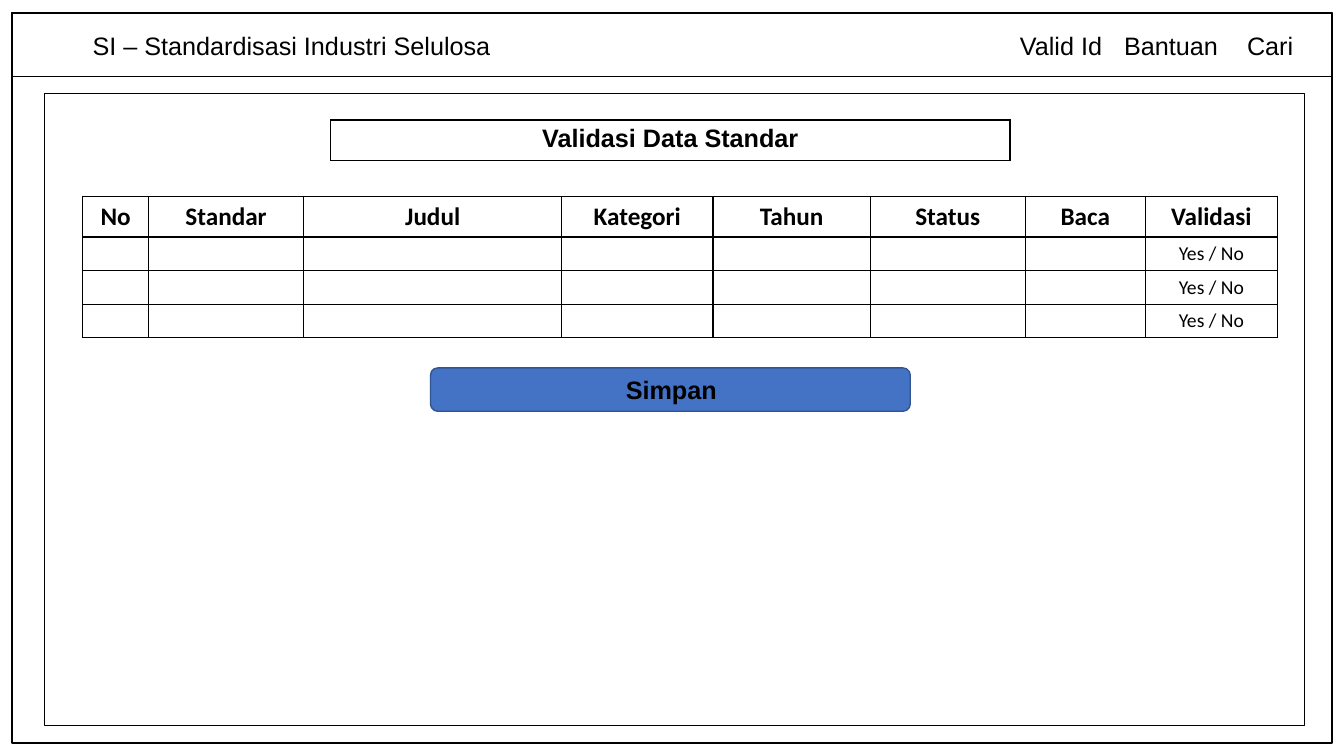
from pptx import Presentation
from pptx.dml.color import RGBColor
from pptx.enum.shapes import MSO_SHAPE
from pptx.enum.text import MSO_AUTO_SIZE, PP_ALIGN
from pptx.oxml.ns import qn
from pptx.util import Inches, Pt
from lxml.etree import SubElement

COLORS = {"ink": "000000", "paper": "FFFFFF", "button": "4472C4", "edge": "325491"}


class Page:
    def __init__(self, prs, font="Arial", size=18):
        self.slide = prs.slides.add_slide(prs.slide_layouts[6])
        self.width, self.height = prs.slide_width, prs.slide_height
        self.font, self.size = font, size

    def x(self, share):
        return round(self.width * share / 100)

    def y(self, share):
        return round(self.height * share / 100)

    def area(self, left, top, width, height):
        return self.x(left), self.y(top), self.x(width), self.y(height)

    def color(self, name):
        return RGBColor.from_string(COLORS[name])

    def box(self, area, kind=MSO_SHAPE.RECTANGLE, fill=None, line="ink"):
        sp = self.slide.shapes.add_shape(kind, *self.area(*area))
        sp.shadow.inherit = False
        if fill:
            sp.fill.solid()
            sp.fill.fore_color.rgb = self.color(fill)
        else:
            sp.fill.background()
        sp.line.color.rgb = self.color(line)
        sp.line.width = Pt(1)

    def add_run(self, p, text, font=None, size=None, bold=False, align=PP_ALIGN.CENTER):
        p.alignment = align
        r = p.add_run()
        r.text = text
        r.font.name = font or self.font
        r.font.size = Pt(size or self.size)
        r.font.bold = bold
        r.font.color.rgb = self.color("ink")

    def text(self, area, text, wrap=False, **style):
        tf = self.slide.shapes.add_textbox(*self.area(*area)).text_frame
        tf.word_wrap = wrap
        tf.auto_size = MSO_AUTO_SIZE.SHAPE_TO_FIT_TEXT
        self.add_run(tf.paragraphs[0], text, **style)

    def border(self, cell):
        tc_pr = cell._tc.get_or_add_tcPr()
        for side in ("a:lnL", "a:lnR", "a:lnT", "a:lnB"):
            ln = SubElement(tc_pr, qn(side), w=str(Pt(1)))
            fill = SubElement(ln, qn("a:solidFill"))
            SubElement(fill, qn("a:srgbClr"), val=COLORS["ink"])

    def table(self, left, top, cols, rows, data, font=None, body_size=14):
        area = self.area(left, top, sum(cols), sum(rows))
        tbl = self.slide.shapes.add_table(len(rows), len(cols), *area).table
        for col, share in zip(tbl.columns, cols):
            col.width = self.x(share)
        for i, (row, share) in enumerate(zip(tbl.rows, rows)):
            row.height = self.y(share)
            size = body_size if i else self.size
            for cell, value in zip(row.cells, data[i]):
                self.border(cell)
                cell.fill.solid()
                cell.fill.fore_color.rgb = self.color("paper")
                p = cell.text_frame.paragraphs[0]
                if value:
                    self.add_run(p, value, font, size, bold=i == 0)
                else:
                    p._p.get_or_add_endParaRPr().set("sz", str(size * 100))


prs = Presentation()
prs.slide_width, prs.slide_height = Inches(13.33), Inches(7.5)
page = Page(prs)

LINE = 5.33
page.box((0.9, 1.73, 98.2, 96.53))
page.box((0.9, 1.73, 98.2, 8.4))
for left, width, label in [
    (6.15, 31.35, "SI – Standardisasi Industri Selulosa"),
    (75.15, 7.65, "Valid Id"),
    (82.9, 8.55, "Bantuan"),
    (92.05, 4.95, "Cari"),
]:
    page.text((left, 3.33, width, LINE), label, align=PP_ALIGN.LEFT)

page.table(24.6, 15.87, [50.55], [LINE], [["Validasi Data Standar"]])
page.box((32.03, 48.67, 35.7, 5.73), MSO_SHAPE.ROUNDED_RECTANGLE, "button", "edge")
page.text((32.25, 48.8, 35.4, LINE), "Simpan", wrap=True, bold=True)
page.box((3.3, 12.4, 93.77, 83.6))

headers = ["No", "Standar", "Judul", "Kategori", "Tahun", "Status", "Baca", "Validasi"]
entry = [""] * (len(headers) - 1) + ["Yes / No"]
page.table(
    6.15, 26,
    [4.9, 11.55, 19.2, 11.25, 11.7, 11.55, 8.93, 9.83],
    [LINE] + [4.45] * 3,
    [headers] + [entry] * 3,
    font="Calibri",
)

prs.save("out.pptx")
